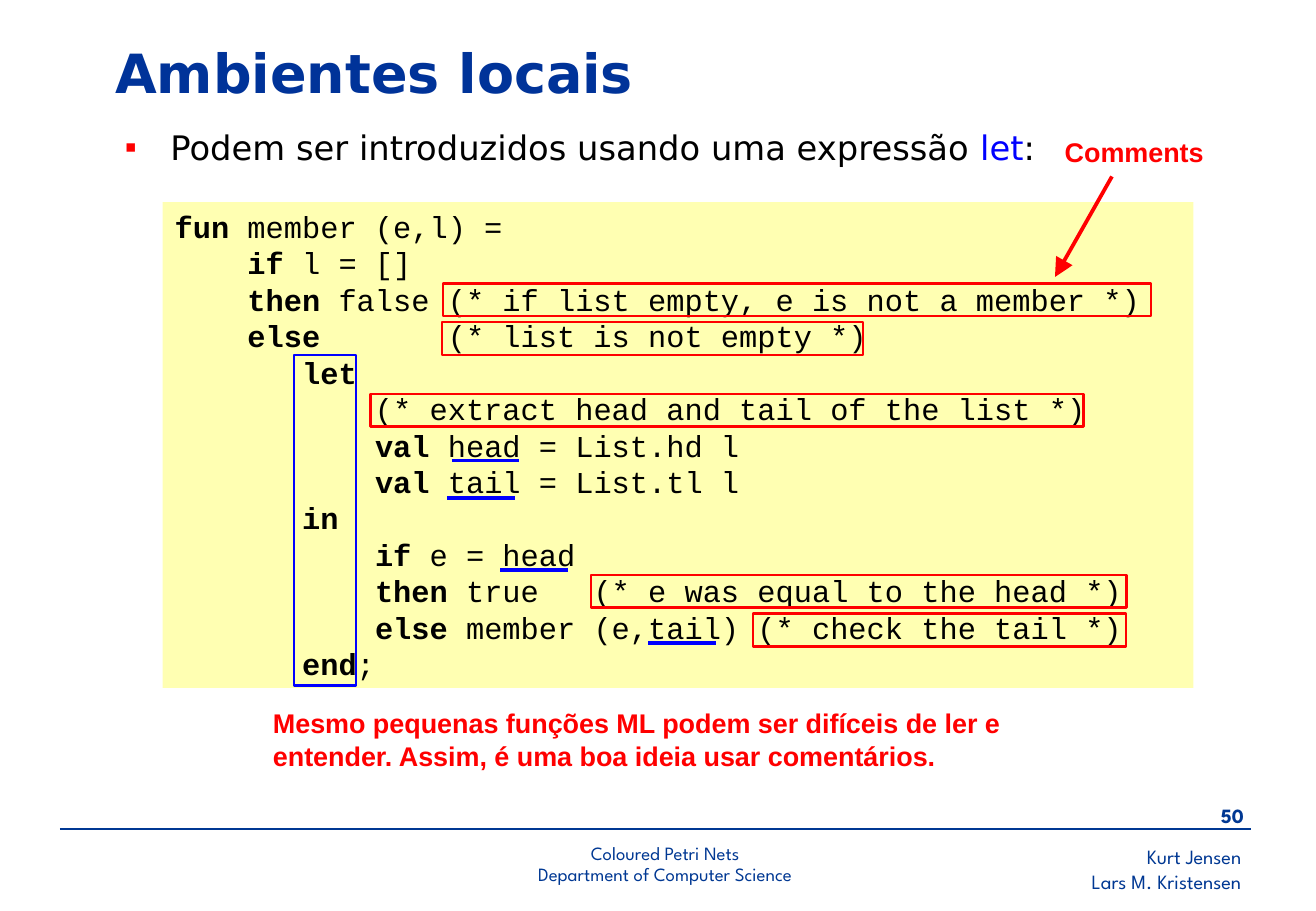
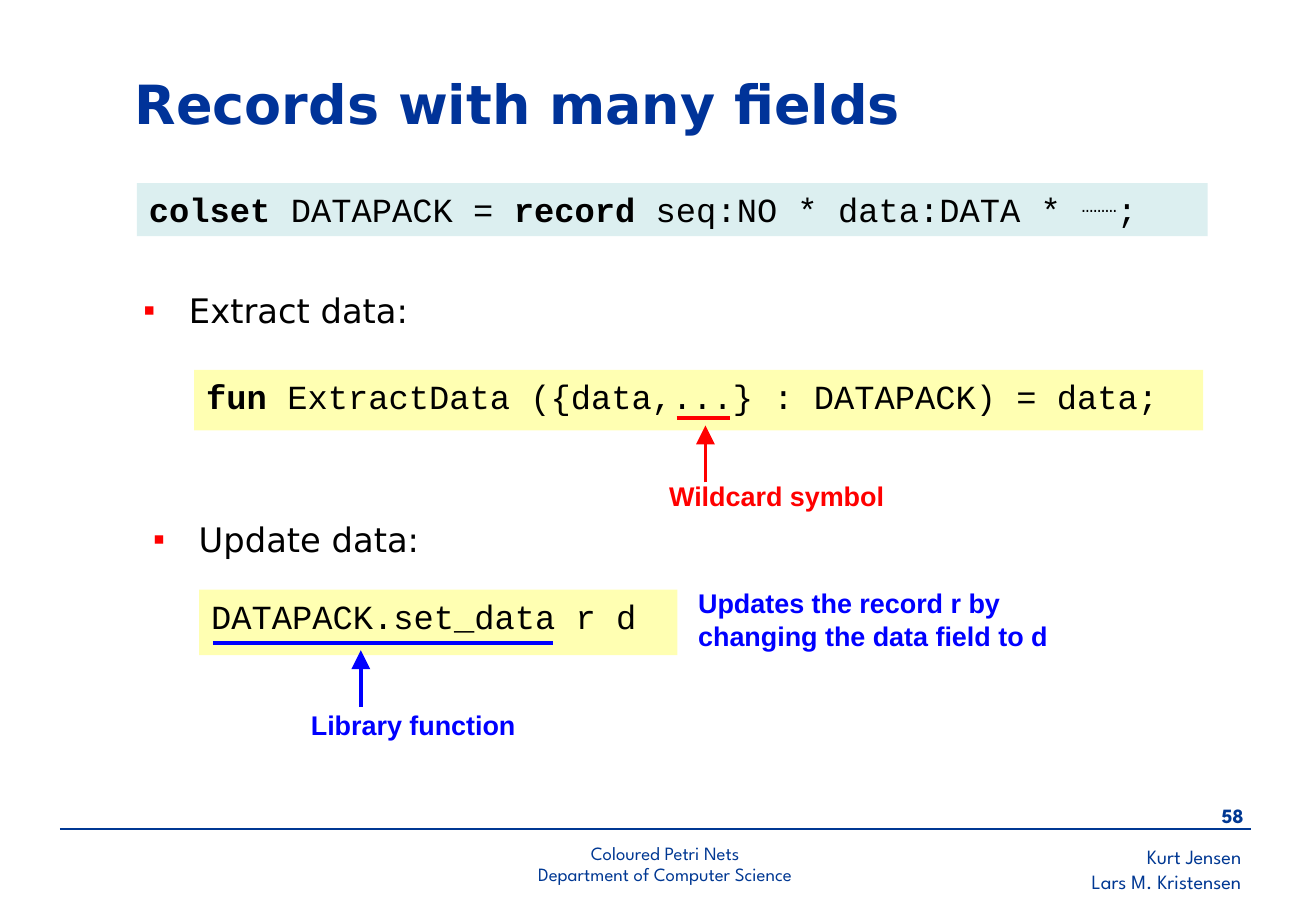
from dataclasses import dataclass
from typing import NamedTuple, Optional

from lxml.etree import SubElement
from pptx import Presentation
from pptx.dml.color import RGBColor
from pptx.enum.shapes import MSO_CONNECTOR, MSO_SHAPE
from pptx.enum.text import MSO_ANCHOR, PP_ALIGN
from pptx.oxml.ns import qn
from pptx.util import Pt

FOOTER_BLUE = RGBColor(0x00, 0x38, 0x93)
TITLE_BLUE = RGBColor(0x00, 0x33, 0x99)
RED = RGBColor(0xFF, 0x00, 0x00)
BLUE = RGBColor(0x00, 0x00, 0xFF)
BLACK = RGBColor(0x00, 0x00, 0x00)
YELLOW = RGBColor(0xFF, 0xFF, 0x66)
TEAL = RGBColor(0xBB, 0xE0, 0xE3)

FRAME_HEIGHT = 19.4
UNDERLINE_WIDTH = 40
BULLET_INDENT = 27


class Box(NamedTuple):
    left: float
    top: float
    width: float
    height: float


class Run(NamedTuple):
    text: str
    bold: Optional[bool] = None
    color: Optional[RGBColor] = None
    raised: bool = False


@dataclass(frozen=True)
class Style:
    font: str
    size: float
    color: RGBColor
    bold: bool = False
    align: PP_ALIGN = PP_ALIGN.LEFT
    anchor: MSO_ANCHOR = MSO_ANCHOR.TOP
    spacing: Optional[float] = None
    bullet: bool = False


TITLE = Style("DejaVu Sans", 32, TITLE_BLUE, bold=True, anchor=MSO_ANCHOR.MIDDLE)
BODY = Style("DejaVu Sans", 20, BLACK, bullet=True)
AUTHORS = Style("League Spartan", 12, FOOTER_BLUE, align=PP_ALIGN.RIGHT)
PAGE_NUMBER = Style("League Spartan", 12, FOOTER_BLUE, bold=True, align=PP_ALIGN.RIGHT)
DEPARTMENT = Style("League Spartan", 11.1, FOOTER_BLUE, align=PP_ALIGN.CENTER, spacing=0.9)


def code_style(size: float) -> Style:
    return Style("Courier New", size, BLACK, spacing=Pt(1.2 * size))


def remark_style(color: RGBColor) -> Style:
    return Style("Arial", 16, color, bold=True, spacing=Pt(19.4))


def code(line: str) -> list[Run]:
    pieces = line.split("|")
    return [Run(piece, bold=index % 2 == 1) for index, piece in enumerate(pieces) if piece]


def add_bullet(paragraph) -> None:
    properties = paragraph._p.get_or_add_pPr()
    properties.set("marL", str(Pt(BULLET_INDENT)))
    properties.set("indent", str(-Pt(BULLET_INDENT)))
    bullet_color = SubElement(properties, qn("a:buClr"))
    SubElement(bullet_color, qn("a:srgbClr"), val=str(RED))
    SubElement(properties, qn("a:buFont"), typeface="Arial")
    SubElement(properties, qn("a:buChar"), char="▪")


def write(frame, style: Style, lines: list[list[Run]]) -> None:
    frame.word_wrap = True
    frame.vertical_anchor = style.anchor
    for index, line in enumerate(lines):
        paragraph = frame.add_paragraph() if index else frame.paragraphs[0]
        paragraph.alignment = style.align
        if style.spacing is not None:
            paragraph.line_spacing = style.spacing
        if style.bullet:
            add_bullet(paragraph)
        font = paragraph.font
        font.name = style.font
        font.size = Pt(style.size)
        font.bold = style.bold
        font.color.rgb = style.color
        for part in line:
            run = paragraph.add_run()
            run.text = part.text
            if part.bold is not None:
                run.font.bold = part.bold
            if part.color is not None:
                run.font.color.rgb = part.color
            if part.raised:
                run._r.get_or_add_rPr().set("baseline", "30000")


def add_text(slide, box: Box, style: Style, *lines: str) -> None:
    write(slide.shapes.add_textbox(*map(Pt, box)).text_frame, style, [[Run(line)] for line in lines])


def add_rectangle(slide, box: Box):
    rectangle = slide.shapes.add_shape(MSO_SHAPE.RECTANGLE, *map(Pt, box))
    rectangle.shadow.inherit = False
    return rectangle


def add_code(slide, box: Box, fill: RGBColor, size: float, lines: list[list[Run]]) -> None:
    panel = add_rectangle(slide, box)
    panel.fill.solid()
    panel.fill.fore_color.rgb = fill
    tint = panel._element.spPr.find(qn("a:solidFill")).find(qn("a:srgbClr"))
    SubElement(tint, qn("a:alpha"), val="50000")
    panel.line.fill.background()
    write(panel.text_frame, code_style(size), lines)


def add_frame(slide, box: Box, color: RGBColor) -> None:
    outline = add_rectangle(slide, box)
    outline.fill.background()
    outline.line.color.rgb = color
    outline.line.width = Pt(1.5)


def add_line(slide, start: tuple[float, float], end: tuple[float, float],
             color: RGBColor, width: float = 2.25, arrow: bool = False) -> None:
    connector = slide.shapes.add_connector(MSO_CONNECTOR.STRAIGHT, *map(Pt, start + end))
    connector.line.color.rgb = color
    connector.line.width = Pt(width)
    if arrow:
        SubElement(connector.line._get_or_add_ln(), qn("a:tailEnd"),
                   type="triangle", w="lg", len="lg")
    SubElement(connector._element.spPr, qn("a:effectLst"))


def start_slide(deck, number: int, title: str, title_box: Box):
    slide = deck.slides.add_slide(deck.slide_layouts[6])
    add_text(slide, Box(500.8, 497.2, 242.6, 36), AUTHORS, "Kurt Jensen", "Lars M. Kristensen")
    add_text(slide, Box(693.6, 472.7, 51.1, 23.8), PAGE_NUMBER, str(number))
    add_line(slide, (35.5, 491.3), (742, 491.3), FOOTER_BLUE, width=1.5)
    add_text(slide, Box(245.8, 497.2, 297.4, 33.8), DEPARTMENT,
             "Coloured Petri Nets", "Department of Computer Science")
    add_text(slide, title_box, TITLE, title)
    return slide


MEMBER_FUNCTION = """\
|fun| member (e,l) =
    |if| l = []
    |then| false (* if list empty, e is not a member *)
    |else|       (* list is not empty *)
       |let|
           (* extract head and tail of the list *)
           |val| head = List.hd l
           |val| tail = List.tl l
       |in|
           |if| e = head
           |then| true   (* e was equal to the head *)
           |else| member (e,tail) (* check the tail *)
       |end|;"""


def build_local_environments(deck) -> None:
    slide = start_slide(deck, 50, "Ambientes locais", Box(61.2, 18, 666, 49.7))
    introduction = slide.shapes.add_textbox(*map(Pt, Box(67, 71.6, 595.4, 36.7)))
    write(introduction.text_frame, BODY, [[
        Run("Podem ser introduzidos usando uma expressão "), Run("let", color=BLUE), Run(":")]])
    add_code(slide, Box(96.5, 119.8, 611.3, 288), YELLOW, 18,
             [code(line) for line in MEMBER_FUNCTION.splitlines()])
    add_text(slide, Box(624.4, 76.6, 111.6, 26.6), remark_style(RED), "Comments")
    add_line(slide, (659.5, 104.6), (625.7, 164.2), RED, arrow=True)
    add_text(slide, Box(154.8, 415, 496, 46), remark_style(RED),
             "Mesmo pequenas funções ML podem ser difíceis de ler e entender. "
             "Assim, é uma boa ideia usar comentários.")
    for left, top, width in ((262.8, 168.1, 419.8), (262.1, 191, 249.8), (219.8, 233.5, 422.8),
                             (350.6, 340.9, 317.5), (446.6, 363.8, 221.3)):
        add_frame(slide, Box(left, top, width, FRAME_HEIGHT), RED)
    add_frame(slide, Box(174.5, 210.5, 36.7, 195.8), BLUE)
    for left, y in ((267.8, 273), (265.2, 295.4), (296.6, 337.9), (384.5, 381)):
        add_line(slide, (left, y), (left + UNDERLINE_WIDTH, y), BLUE)


def build_records(deck) -> None:
    slide = start_slide(deck, 58, "Records with many fields", Box(72.8, 36, 515.5, 49.7))
    declaration = code("|colset| DATAPACK = |record| seq:NO * data:DATA * ")
    add_code(slide, Box(81.2, 108.6, 635, 31.4), TEAL, 20,
             [declaration + [Run("………", raised=True), Run(";")]])

    add_text(slide, Box(78, 168.1, 203.8, 33.8), BODY, "Extract data:")
    add_code(slide, Box(115.2, 219.2, 598.3, 36), YELLOW, 20,
             [code("|fun| ExtractData ({data,...} : DATAPACK) = data;")])
    add_line(slide, (401.3, 247.8), (432.7, 247.8), RED)
    add_line(slide, (418.4, 286), (418.4, 252.2), RED, arrow=True)
    add_text(slide, Box(389.8, 280.4, 164.2, 26.6), remark_style(RED), "Wildcard symbol")

    add_text(slide, Box(83.8, 304.1, 203.8, 33.8), BODY, "Update data:")
    add_code(slide, Box(118.1, 349.5, 283.7, 38.9), YELLOW, 20, [code("DATAPACK.set_data r d")])
    add_line(slide, (126.2, 381), (327.8, 381), BLUE)
    add_line(slide, (214, 419.2), (214, 385.4), BLUE, arrow=True)
    add_text(slide, Box(177.3, 416.5, 156.2, 26.6), remark_style(BLUE), "Library function")
    add_text(slide, Box(407, 343.8, 232.6, 46), remark_style(BLUE),
             "Updates the record r by changing the data field to d")


def main() -> None:
    deck = Presentation()
    deck.slide_width = Pt(780.48)
    deck.slide_height = Pt(540)
    deck.element.sldSz.attrib.pop("type", None)
    build_local_environments(deck)
    build_records(deck)
    deck.save("out.pptx")


if __name__ == "__main__":
    main()
